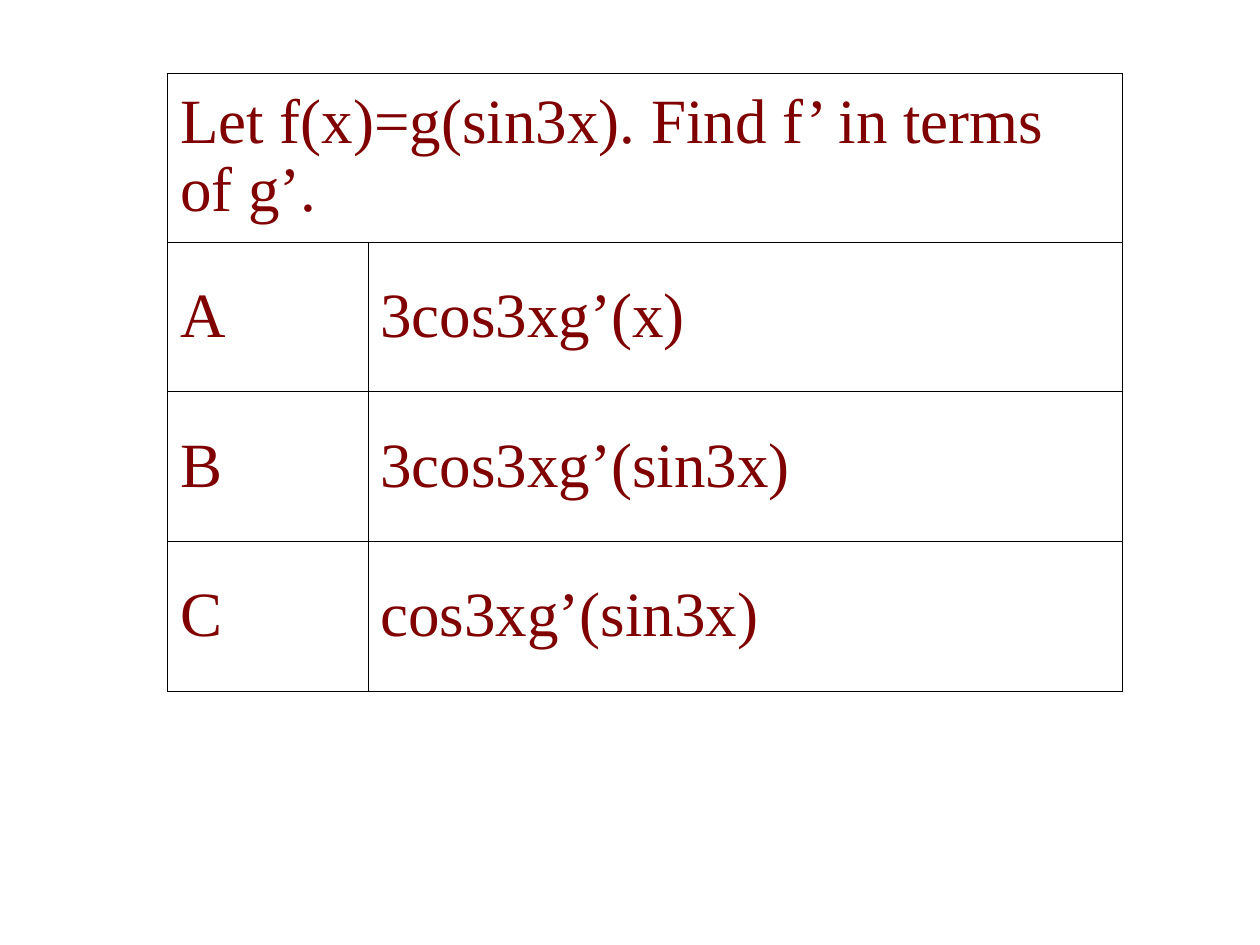
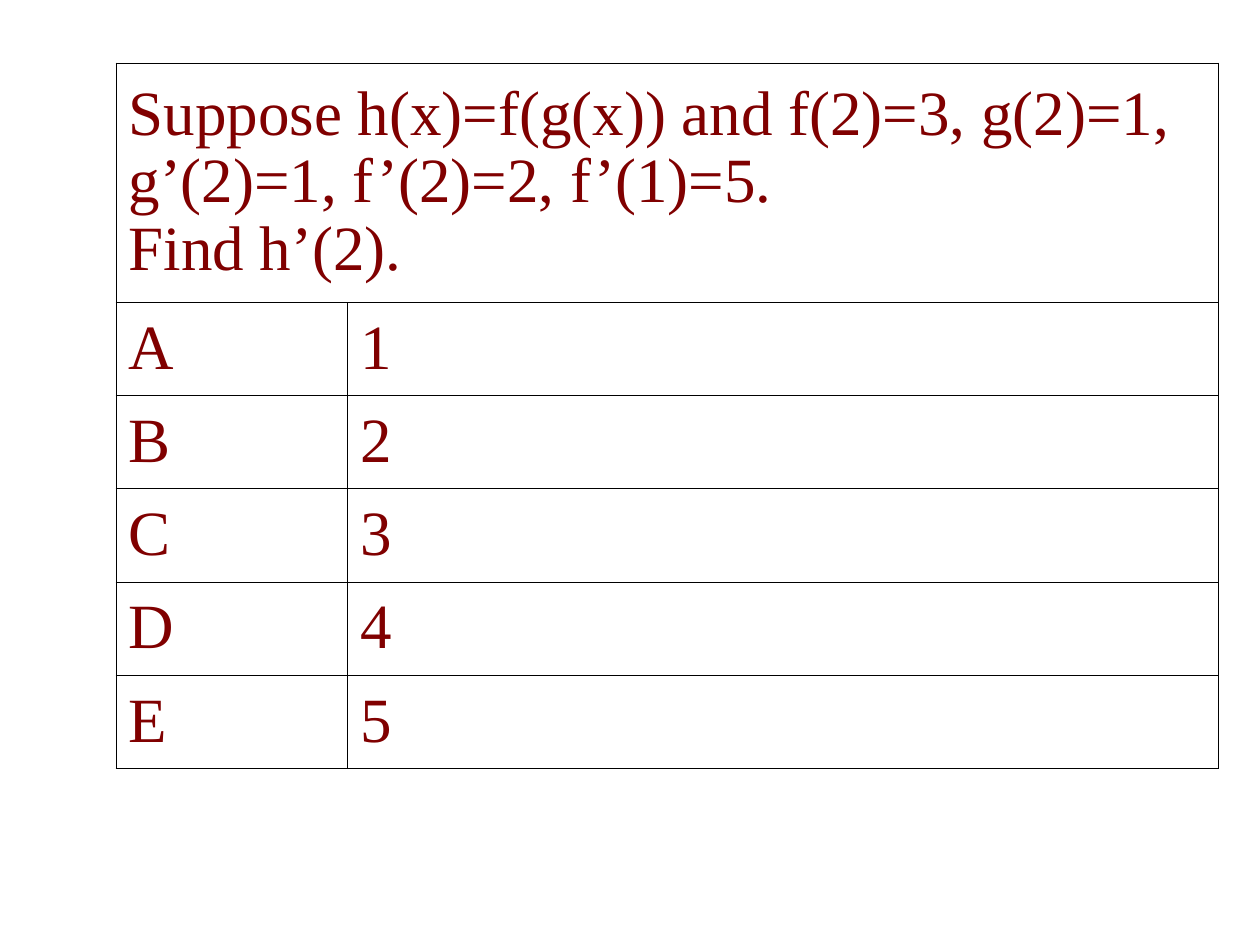
from lxml import etree
from pptx import Presentation, util as u
from pptx.dml import color
from pptx.enum import text
from pptx.oxml import ns


def paint(tone):
    """Turn a hex string into a colour."""
    return color.RGBColor.from_string(tone)


def write(frame, words, font="Times New Roman", size=36, tone="800000", space=0.97):
    """Fill a text frame, one paragraph for each line of words."""
    for i, line in enumerate(words.split("\n")):
        para = frame.add_paragraph() if i else frame.paragraphs[0]
        para.line_spacing = space
        run = para.add_run()
        run.text = line
        run.font.name, run.font.size, run.font.bold = font, u.Pt(size), False
        run.font.color.rgb = paint(tone)


class Quiz:
    """Hold the deck style and the current slide."""

    ink = "000000"
    rule = 0.45

    def __init__(self):
        """Start a deck of 10 by 7.5 inches."""
        self.deck = Presentation()
        self.deck.slide_width, self.deck.slide_height = u.Inches(10), u.Inches(7.5)

    def page(self):
        """Add a blank slide and make it current."""
        self.slide = self.deck.slides.add_slide(self.deck.slide_layouts[6])

    def frame(self, cell):
        """Draw thin lines round a cell and clear its fill."""
        props = cell._tc.get_or_add_tcPr()
        for side in ("lnL", "lnR", "lnT", "lnB"):
            line = etree.SubElement(props, ns.qn("a:" + side), w=str(u.Pt(self.rule)))
            fill = etree.SubElement(line, ns.qn("a:solidFill"))
            etree.SubElement(fill, ns.qn("a:srgbClr"), val=self.ink)
        cell.fill.background()

    def table(self, left, top, cols, head, row, ask, picks):
        """Add a question row above lettered answer rows."""
        high = head + row * len(picks)
        box = self.slide.shapes.add_table(
            len(picks) + 1, 2, *map(u.Inches, (left, top, sum(cols), high)))
        grid = box.table
        grid.first_row = grid.horz_banding = False
        for col, wide in zip(grid.columns, cols):
            col.width = u.Inches(wide)
        for i, line in enumerate(grid.rows):
            line.height = u.Inches(row if i else head)
        for cell in grid.iter_cells():
            self.frame(cell)
            cell.vertical_anchor = text.MSO_ANCHOR.MIDDLE
        grid.cell(0, 0).merge(grid.cell(0, 1))
        write(grid.cell(0, 0).text_frame, ask)
        for i, (mark, pick) in enumerate(zip("ABCDE", picks), 1):
            write(grid.cell(i, 0).text_frame, mark)
            write(grid.cell(i, 1).text_frame, pick)


def main():
    """Build both questions and save the deck."""
    quiz = Quiz()
    quiz.page()
    quiz.table(1.33, 0.58, (1.59, 5.99), 1.34, 1.19,
               "Let f(x)=g(sin3x). Find f’ in terms of g’.",
               ("3cos3xg’(x)", "3cos3xg’(sin3x)", "cos3xg’(sin3x)"))
    quiz.page()
    quiz.table(0.92, 0.5, (1.84, 6.91), 1.9, 0.74,
               "Suppose h(x)=f(g(x)) and f(2)=3, g(2)=1, g’(2)=1, f’(2)=2, f’(1)=5.\n"
               "Find h’(2).",
               "12345")
    quiz.deck.save("out.pptx")


if __name__ == "__main__":
    main()
